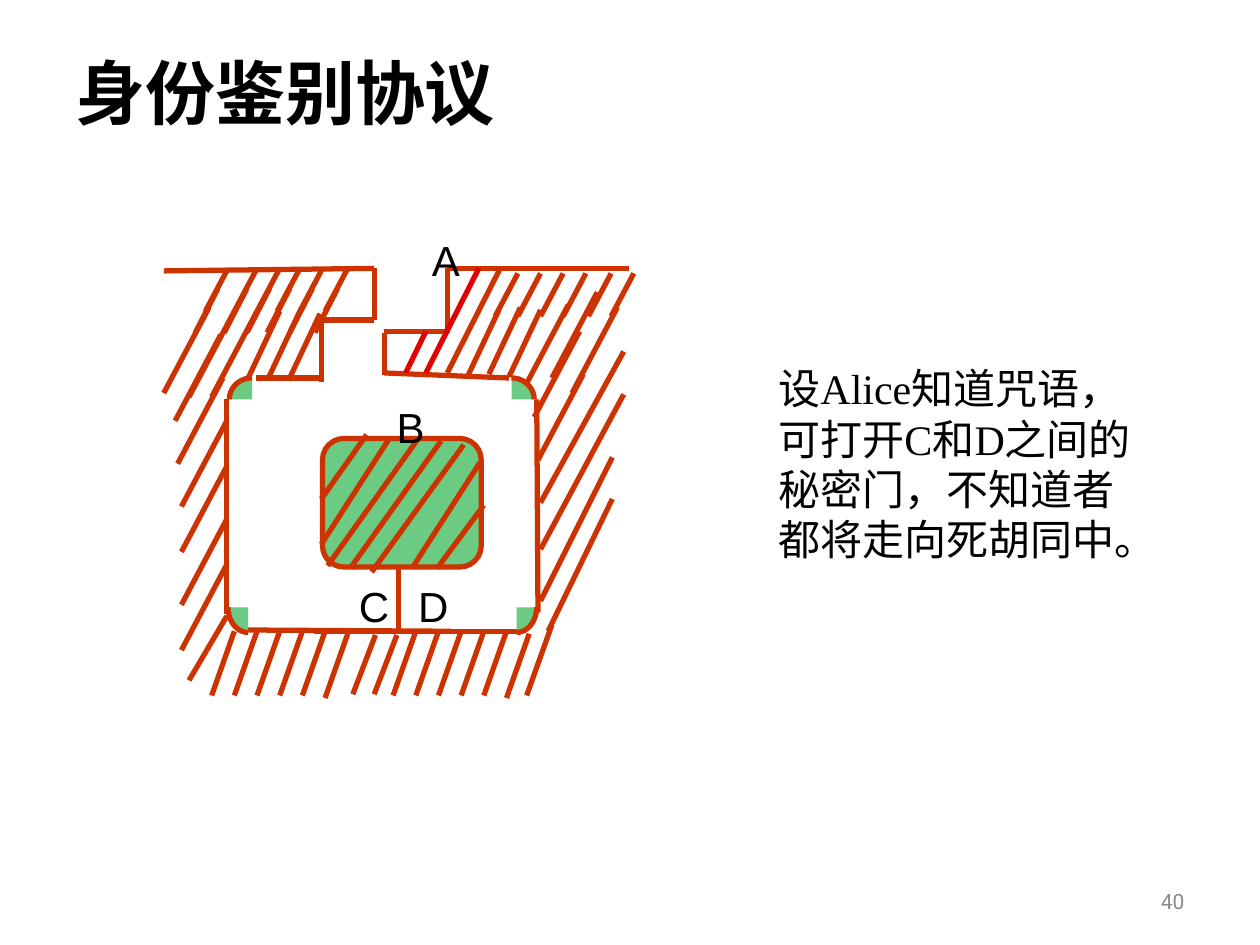
import pptx
import pptx.util
import pptx.dml.color
import pptx.enum.shapes
import pptx.enum.text
import pptx.oxml.ns
import lxml.etree
import math

Inches = pptx.util.Inches
RGBColor = pptx.dml.color.RGBColor
ALIGN = pptx.enum.text.PP_ALIGN
ANCHOR = pptx.enum.text.MSO_ANCHOR

ROCK = RGBColor(0xCC, 0x33, 0x00)
RED = RGBColor(0xE4, 0x00, 0x00)
GREEN = RGBColor(0x6B, 0xCB, 0x82)
BLACK = RGBColor(0x00, 0x00, 0x00)
BODY = RGBColor(0x02, 0x00, 0x00)
GRAY = RGBColor(0x89, 0x89, 0x89)
CJK = "Noto Sans CJK SC"
STROKE = pptx.util.Pt(3)


def add_text(shapes, at, paragraphs, size, color, anchor=ANCHOR.TOP,
             align=ALIGN.LEFT, bold=False):
    """Add a text box; each paragraph is a list of (text, font name) pairs."""
    box = shapes.add_textbox(*[Inches(v) for v in at])
    frame = box.text_frame
    frame.word_wrap = True
    frame.vertical_anchor = anchor
    for index, pieces in enumerate(paragraphs):
        para = frame.add_paragraph() if index else frame.paragraphs[0]
        para.alignment = align
        for text, font_name in pieces:
            span = para.add_run()
            span.text = text
            span.font.name = font_name
            span.font.size = pptx.util.Pt(size)
            span.font.bold = bold
            span.font.color.rgb = color
            east_asian = lxml.etree.SubElement(
                span.font._element, pptx.oxml.ns.qn("a:ea"))
            east_asian.set("typeface", CJK)


def add_line(shapes, x1, y1, x2, y2, color=ROCK):
    line = shapes.add_connector(
        pptx.enum.shapes.MSO_CONNECTOR.STRAIGHT,
        Inches(x1), Inches(y1), Inches(x2), Inches(y2))
    line.line.color.rgb = color
    line.line.width = STROKE
    lxml.etree.SubElement(line._element.spPr, pptx.oxml.ns.qn("a:effectLst"))


deck = pptx.Presentation()
deck.slide_width = Inches(10)
deck.slide_height = Inches(7.5)
page = deck.slides.add_slide(deck.slide_layouts[6])

add_text(page.shapes, (0.5, 0.3, 9, 0.85), [[("身份鉴别协议", CJK)]],
         40, BLACK, ANCHOR.MIDDLE, bold=True)
add_text(page.shapes, (7.17, 6.95, 2.33, 0.4), [[("40", "Roboto")]],
         12, GRAY, ANCHOR.MIDDLE, ALIGN.RIGHT)
add_text(page.shapes, (6.08, 2.83, 3.15, 2.71), [
    [("设Alice知道咒语， 可打开C和D之间的秘密门，不知道者", "Times New Roman")],
    [("都将走向死胡同", "Times New Roman"), ("中。", "Arial")],
], 24, BODY)

cave = page.shapes.add_group_shape().shapes

# Rock hatching: each family shares one slope and length
left_top = [1.81, 2.04, 2.22, 2.38, 2.56, 2.76]
right_top = [4.11, 4.29, 4.47, 4.65, 4.85, 5.03]
floor = [start + 0.18 * i for start in (1.86, 3.3) for i in range(5)]
hatch_families = [
    (-0.36, 0.68, [
        (1.86, 2.47), (2.04, 2.47), (1.66, 2.44), (1.75, 2.66), (1.77, 3),
        (1.8, 3.34), (1.8, 3.7), (1.8, 4.12), (1.8, 4.48), (4.74, 2.32),
        (4.9, 2.44), (4.63, 2.97), (4.6, 2.63), (4.51, 2.42)]),
    (-0.18, 0.51, [(x, 5.01) for x in floor] + [(2.76, 5.03), (4.2, 5.03)]),
    (-0.18, 0.47, [(2.98, 5.04), (3.15, 5.04)]),
    (-0.25, 0.53, [(2.22, 2.47), (2.38, 2.47), (2.54, 2.49),
                   (3.96, 2.46), (4.13, 2.44), (4.29, 2.46)]),
    (-0.18, 0.34, [(x, 2.13) for x in left_top]
     + [(x, 2.17) for x in right_top]),
    (-0.18, 0.35, [(x - 0.08, 2.29) for x in left_top]),
]
for dx, dy, starts in hatch_families:
    for x, y in starts:
        add_line(cave, x, y, x + dx, y + dy)

single_hatches = [
    (1.8, 4.89, 1.5, 5.4), (4.95, 2.79, 4.29, 3.99),
    (4.86, 3.63, 4.29, 4.77), (4.95, 3.13, 4.29, 4.36),
    (4.86, 3.96, 4.35, 5.01), (4.38, 4.96, 4.18, 5.52),
    (3.97, 2.13, 3.55, 2.96),
]
for ends in single_hatches:
    add_line(cave, *ends)

# Central block
block = cave.add_shape(pptx.enum.shapes.MSO_SHAPE.ROUNDED_RECTANGLE,
                       Inches(2.56), Inches(3.48), Inches(1.26), Inches(1.02))
block.shadow.inherit = False
block.fill.solid()
block.fill.fore_color.rgb = GREEN
block.line.color.rgb = ROCK
block.line.width = STROKE

# Secret door, entrance and cave walls
walls = [
    (3.16, 4.5, 3.16, 5.01),
    (1.3, 2.15, 2.97, 2.13), (2.97, 2.13, 2.97, 2.54),
    (2.55, 2.54, 2.97, 2.54), (2.55, 2.52, 2.55, 3.03),
    (2.03, 3, 2.57, 3),
    (3.55, 2.13, 4.99, 2.13), (3.55, 2.64, 3.55, 2.13),
    (3.05, 2.63, 3.55, 2.63), (3.05, 2.98, 3.05, 2.64),
    (4.04, 3, 3.05, 2.96),
    (1.8, 3.17, 1.8, 4.87), (4.26, 3.17, 4.27, 4.86),
    (4.11, 5.01, 2.49, 5.01), (1.96, 5, 3.58, 5.01),
]
for ends in walls:
    add_line(cave, *ends)

# Rounded corners: arc centre, then signed radii
corners = [
    (4.06, 3.17, 0.18, -0.17), (4.1, 4.82, 0.16, 0.2),
    (2, 3.17, -0.18, -0.17), (1.97, 4.82, -0.16, 0.2),
]
STEPS = 12
for cx, cy, rx, ry in corners:
    angles = [math.pi / 2 * i / STEPS for i in range(STEPS + 1)]
    arc = [(Inches(cx + rx * math.sin(a)), Inches(cy + ry * math.cos(a)))
           for a in angles]
    for filled in (True, False):
        builder = cave.build_freeform(*arc[0], scale=1.0)
        center = [(Inches(cx), Inches(cy))] if filled else []
        builder.add_line_segments(arc[1:] + center, close=filled)
        corner = builder.convert_to_shape()
        corner.shadow.inherit = False
        if filled:
            corner.fill.solid()
            corner.fill.fore_color.rgb = GREEN
            corner.line.fill.background()
        else:
            corner.fill.background()
            corner.line.color.rgb = ROCK
            corner.line.width = STROKE

block_hatches = [
    (2.55, 4.32, 3.09, 3.48), (3.27, 4.51, 3.81, 3.67),
    (2.78, 4.51, 3.5, 3.5), (2.95, 4.54, 3.68, 3.53),
    (2.6, 4.49, 3.32, 3.48), (3.47, 4.51, 3.84, 4.01),
    (2.55, 3.96, 2.91, 3.45),
]
for ends in block_hatches:
    add_line(cave, *ends)

for ends in [(3.8, 2.13, 3.38, 2.96), (3.38, 2.63, 3.22, 2.96)]:
    add_line(cave, *ends, color=RED)

labels = [("A", 3.33, 1.81, 0.55), ("B", 3.05, 3.14, 0.55),
          ("C", 2.75, 4.56, 0.47), ("D", 3.22, 4.56, 0.42)]
for letter, left, top, width in labels:
    add_text(cave, (left, top, width, 0.5), [[(letter, "Arial")]], 24, BLACK)

deck.save("out.pptx")
